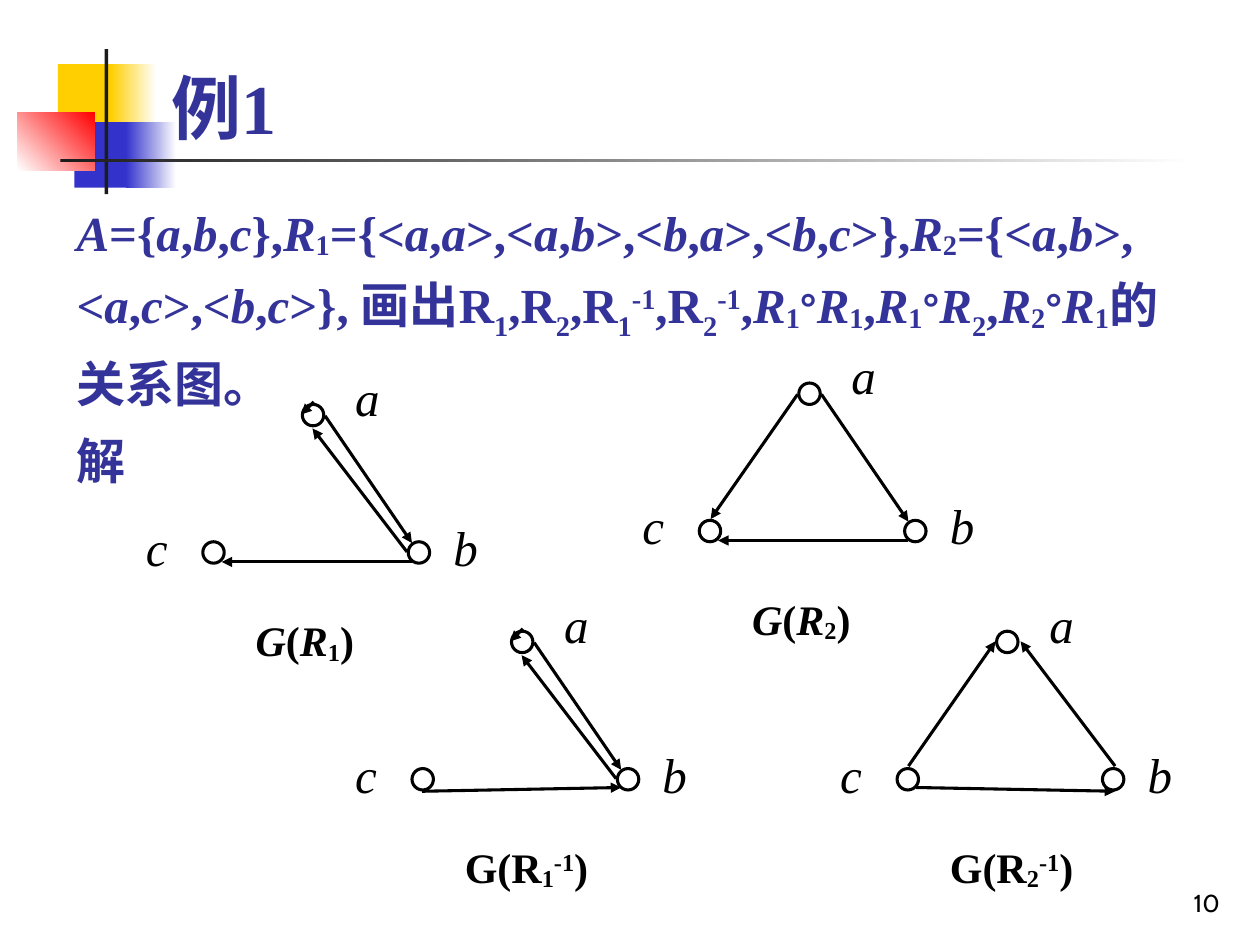
"""Build the slide with the relation graphs of R1, R2 and their inverses."""
from itertools import groupby
from lxml.etree import SubElement
from pptx import Presentation
from pptx.dml.color import RGBColor as RGB
from pptx.enum.shapes import MSO_CONNECTOR as CONN, MSO_SHAPE as SHAPE
from pptx.enum.text import MSO_ANCHOR as ANCHOR, PP_ALIGN as ALIGN
from pptx.oxml.ns import qn
from pptx.util import Inches, Pt

COLORS = {"gold": "FFCF01", "blue": "3333CC", "red": "FF0000", "white": "FFFFFF",
          "dark": "1C1C1C", "ink": "333399", "black": "000000"}
BASELINES = {"_": -10000, "~": -25000, "^": 30000}

prs = Presentation()
prs.slide_width, prs.slide_height = Inches(10), Inches(7.5)
COL, ROW = prs.slide_width / 10, prs.slide_height / 7.5
s = prs.slides.add_slide(prs.slide_layouts[6])


def grid(*lengths):
    """Turn alternating column and row counts into slide lengths."""
    return [int(n * (ROW if i % 2 else COL)) for i, n in enumerate(lengths)]


def write(text, box, size=28, font="Times New Roman", color="black", bold=False,
          align=ALIGN.LEFT, anchor=ANCHOR.TOP, spacing=1.0, last=None):
    """Add text where * toggles italics and _x, ~x, ^xx shift the baseline."""
    tf = s.shapes.add_textbox(*grid(*box)).text_frame
    tf.word_wrap, tf.vertical_anchor = True, anchor
    for n, line in enumerate(text.split("\n")):
        p = tf.paragraphs[0] if n == 0 else tf.add_paragraph()
        p.alignment, p.line_spacing = align, spacing
        chars, italic, base, left = [], False, 0, 0
        for ch in line:
            if ch == "*":
                italic = not italic
            elif ch in BASELINES:
                base, left = BASELINES[ch], 2 if ch == "^" else 1
            else:
                chars.append((ch, italic, base if left else 0, ch == "°"))
                left = max(left - 1, 0)
        for (slanted, shift, ring), part in groupby(chars, key=lambda c: c[1:]):
            r = p.add_run()
            r.text = "".join(c[0] for c in part)
            r.font.name = "Arial" if ring else font
            r.font.size = Pt(24 if ring else size)
            r.font.bold, r.font.italic = bold, slanted
            r.font.color.rgb = RGB.from_string(COLORS[color])
            if shift:
                r.font._element.set("baseline", str(shift))
    if last:
        p.line_spacing, p.space_before = last


for box, start, end, angle in [
    ((0.46, 0.51, 0.48, 0.52), "gold", None, 0),
    ((0.88, 0.51, 0.36, 0.52), "gold", "white", 0),
    ((0.59, 0.97, 0.46, 0.52), "blue", None, 0),
    ((1, 0.97, 0.4, 0.52), "blue", "white", 0),
    ((0.14, 0.89, 0.61, 0.46), "white", "red", 45),
    ((0.83, 0.39, 0.03, 1.15), "dark", None, 0),
    ((0.48, 1.26, 9, 0.03), "dark", "white", 0),
]:
    sp = s.shapes.add_shape(SHAPE.RECTANGLE, *grid(*box))
    sp.shadow.inherit = False
    sp.line.fill.background()
    if end:
        sp.fill.gradient()
        sp.fill.gradient_angle = angle
        for stop, name in zip(sp.fill.gradient_stops, (start, end)):
            stop.color.rgb = RGB.from_string(COLORS[name])
    else:
        sp.fill.solid()
        sp.fill.fore_color.rgb = RGB.from_string(COLORS[start])

write("10", (7.7, 6.83, 2.08, 0.5), size=14, font="Cabin", align=ALIGN.RIGHT,
      anchor=ANCHOR.BOTTOM)
write("例1", (1.26, 0.39, 8.52, 0.84), size=40, color="ink", bold=True,
      anchor=ANCHOR.BOTTOM)
write("*A*={*a*,*b*,*c*},*R*_1={<*a*,*a*>,<*a*,*b*>,<*b*,*a*>,<*b*,*c*>},*R*_2={<*a*,*b*>,\n"
      "<*a*,*c*>,<*b*,*c*>}, 画出R~1,R~2,R~1^-1,R~2^-1,"
      "*R*_1°*R*_1,*R*_1°*R*~2,*R*_2°*R*_1的关系图。\n解",
      (0.51, 1.46, 9.13, 5.75), color="ink", bold=True, spacing=1.2, last=(1.1, Pt(7)))

NODES = {"a": (1.34, 0.39), "c": (0.55, 1.48), "b": (2.18, 1.48)}
LABELS = {"a": (1.66, 0), "c": (0, 1.19), "b": (2.44, 1.19)}
LOOP = (1.43, 0.37, 1.33, 0.47)
A_TO_B = (1.52, 0.48, 2.21, 1.49)
B_TO_A = (2.17, 1.56, 1.42, 0.58)
B_TO_C = (2.21, 1.64, 0.7, 1.64)

for x, y, caption, width, edges in [
    (2.72, 4.62, "G(R_1^-1)", 1.58, [LOOP, A_TO_B, B_TO_A, (0.63, 1.66, 2.21, 1.63)]),
    (6.57, 4.62, "G(R_2^-1)", 1.58, [(2.28, 1.46, 1.53, 0.47), (0.7, 1.63, 2.28, 1.66),
                                     (0.64, 1.46, 1.33, 0.47)]),
    (1.06, 2.82, "*G*(*R*_1)", 1.18, [LOOP, A_TO_B, B_TO_A, B_TO_C]),
    (5, 2.65, "*G*(*R*_2)", 1.18, [A_TO_B, B_TO_C, (1.33, 0.48, 0.64, 1.47)]),
]:
    for name, (dx, dy) in NODES.items():
        sp = s.shapes.add_shape(SHAPE.OVAL, *grid(x + dx, y + dy, 0.17, 0.17))
        sp.shadow.inherit = False
        sp.fill.background()
        sp.line.color.rgb = RGB.from_string(COLORS["black"])
        sp.line.width = Pt(1.75)
        dx, dy = LABELS[name]
        write(f"*{name}*", (x + dx, y + dy, 0.47, 0.62), spacing=1.1)
    for x1, y1, x2, y2 in edges:
        cx = s.shapes.add_connector(CONN.STRAIGHT, *grid(x + x1, y + y1, x + x2, y + y2))
        cx.line.color.rgb = RGB.from_string(COLORS["black"])
        cx.line.width = Pt(1.75)
        SubElement(cx.line._get_or_add_ln(), qn("a:tailEnd"), type="triangle")
        SubElement(cx._element.spPr, qn("a:effectLst"))
    write(caption, (x + 0.87, y + 1.97, width, 0.55), size=24, bold=True, spacing=1.1)

prs.save("out.pptx")
